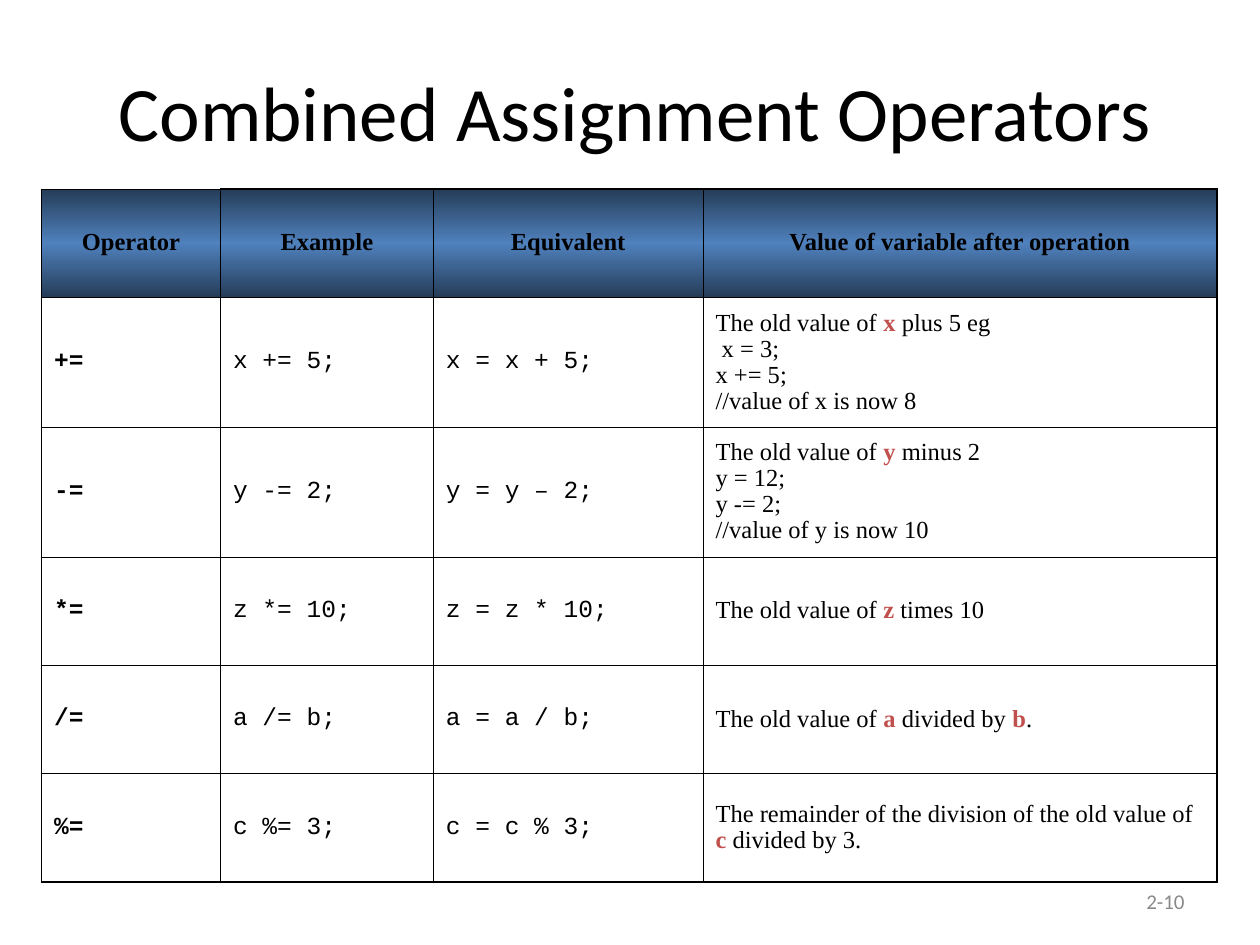
"""Build a slide with a table of combined assignment operators."""
from lxml import etree
from pptx import Presentation
from pptx.dml.color import RGBColor
from pptx.enum.text import MSO_ANCHOR, PP_ALIGN
from pptx.util import Inches, Pt

MIDDLE = MSO_ANCHOR.MIDDLE
LEFT, CENTER, RIGHT = PP_ALIGN.LEFT, PP_ALIGN.CENTER, PP_ALIGN.RIGHT
NAMESPACE = "http://schemas.openxmlformats.org/drawingml/2006/main"
COLORS = {"ink": "000000", "accent": "C0504D", "muted": "898989",
          "header": "4F81BD", "header_edge": "253C57"}
THIN, THICK = 0.45, 1.08

TITLE = "Combined Assignment Operators"
PAGE_NUMBER = "2-10"
HEADERS = ["Operator", "Example", "Equivalent", "Value of variable after operation"]
OPERATIONS = [
    ("+=", "x += 5;", "x = x + 5;",
     ["The old value of |x| plus 5 eg", " x = 3;", "x += 5;", "//value of x is now 8"]),
    ("-=", "y -= 2;", "y = y – 2;",
     ["The old value of |y| minus 2", "y = 12;", "y -= 2;", "//value of y is now 10"]),
    ("*=", "z *= 10;", "z = z * 10;", ["The old value of |z| times 10"]),
    ("/=", "a /= b;", "a = a / b;", ["The old value of |a| divided by |b|."]),
    ("%=", "c %= 3;", "c = c % 3;",
     ["The remainder of the division of the old value of |c| divided by 3."]),
]
COLUMN_WIDTHS = [1.42, 1.69, 2.14, 4.08]
SHORT_ROW, TALL_ROW = 0.86, 1.03


def write(frame, lines, align, **style):
    """Fill a text frame; words between bars are bold and accented."""
    for number, line in enumerate(lines):
        para = frame.add_paragraph() if number else frame.paragraphs[0]
        para.alignment = align
        if style["name"] == "Times New Roman":
            para.line_spacing = 0.96
        for position, part in enumerate(line.split("|")):
            span = para.add_run()
            span.text = part
            marked = position % 2 == 1
            look = {**style, "bold": True, "color": "accent"} if marked else style
            color = look["color"]
            for key in ("name", "size", "bold"):
                setattr(span.font, key, look[key])
            span.font.color.rgb = RGBColor.from_string(COLORS[color])


def solid_xml(color):
    """Return the XML of a colour."""
    return f'<a:srgbClr val="{COLORS[color]}"/>'


def add_xml(parent, body, index):
    """Insert a drawing element into a parent."""
    tag, rest = body.split(" ", 1)
    parent.insert(index, etree.fromstring(f'<a:{tag} xmlns:a="{NAMESPACE}" {rest}</a:{tag}>'))


def style_cell(cell, row, column, last_row, last_column):
    """Set the fill and the borders of a cell."""
    cell.vertical_anchor = MIDDLE
    properties = cell._tc.get_or_add_tcPr()
    if row:
        cell.fill.background()
    else:
        stops = [(0, "header_edge"), (50000, "header"), (100000, "header_edge")]
        marks = "".join(f'<a:gs pos="{place}">{solid_xml(color)}</a:gs>' for place, color in stops)
        add_xml(properties, f'gradFill rotWithShape="1"><a:gsLst>{marks}</a:gsLst>'
                            '<a:lin ang="5400000" scaled="0"/>', 0)
    outer = {"lnL": column == 0, "lnR": column == last_column,
             "lnT": row == 0 and column > 0, "lnB": row == last_row}
    for index, (side, thick) in enumerate(outer.items()):
        width = Pt(THICK if thick else THIN)
        add_xml(properties, f'{side} w="{width}"><a:solidFill>{solid_xml("ink")}</a:solidFill>', index)


def main():
    """Lay out the title, the table and the page number."""
    deck = Presentation()
    deck.slide_width, deck.slide_height = Inches(10), Inches(7.5)
    page = deck.slides.add_slide(deck.slide_layouts[5])

    title = page.shapes.title
    place = {"left": 0.33, "top": 0.33, "width": 9.42, "height": 1.09}
    for key, value in place.items():
        setattr(title, key, Inches(value))
    title.text_frame.vertical_anchor = MIDDLE
    write(title.text_frame, [TITLE], CENTER, name="Calibri", size=Pt(44), bold=False, color="ink")

    heights = [SHORT_ROW] + [TALL_ROW if len(entry[3]) > 1 else SHORT_ROW for entry in OPERATIONS]
    table = page.shapes.add_table(
        len(heights), len(COLUMN_WIDTHS), Inches(0.33), Inches(1.5),
        Inches(sum(COLUMN_WIDTHS)), Inches(sum(heights))).table
    table.first_row = table.horz_banding = False
    for column, width in zip(table.columns, COLUMN_WIDTHS):
        column.width = Inches(width)
    for row, height in zip(table.rows, heights):
        row.height = Inches(height)

    last_row, last_column = len(heights) - 1, len(COLUMN_WIDTHS) - 1
    for row, entries in enumerate([HEADERS, *OPERATIONS]):
        for column, entry in enumerate(entries):
            cell = table.cell(row, column)
            style_cell(cell, row, column, last_row, last_column)
            code = row > 0 and column < last_column
            write(cell.text_frame, [entry] if isinstance(entry, str) else entry,
                  LEFT if row else CENTER, size=Pt(14), color="ink",
                  name="Courier New" if code else "Times New Roman",
                  bold=row == 0 or column == 0)

    box = page.shapes.add_textbox(Inches(7.17), Inches(6.95), Inches(2.33), Inches(0.4))
    box.text_frame.word_wrap = True
    box.text_frame.vertical_anchor = MIDDLE
    write(box.text_frame, [PAGE_NUMBER], RIGHT, name="Calibri", size=Pt(12), bold=False, color="muted")
    deck.save("out.pptx")


main()
